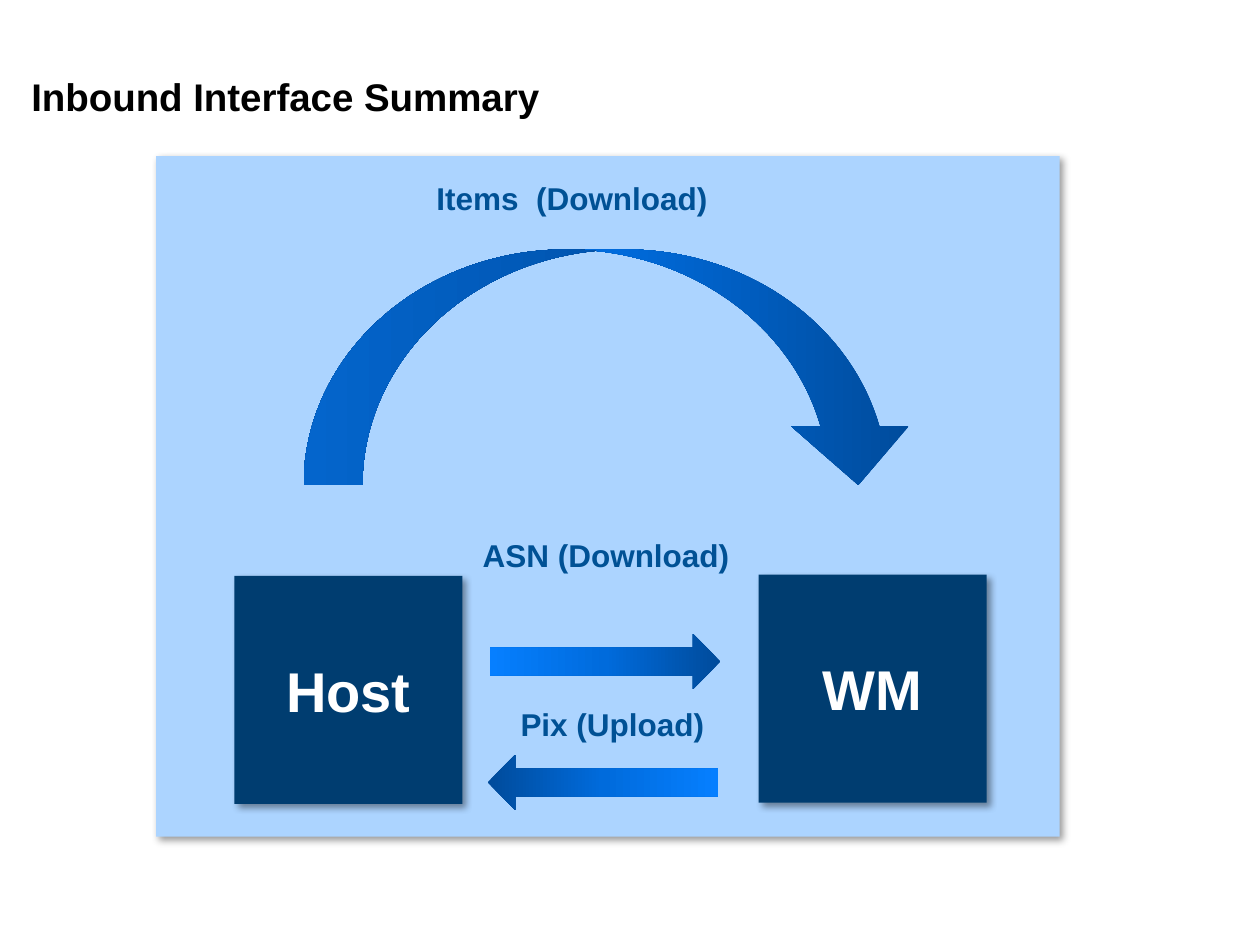
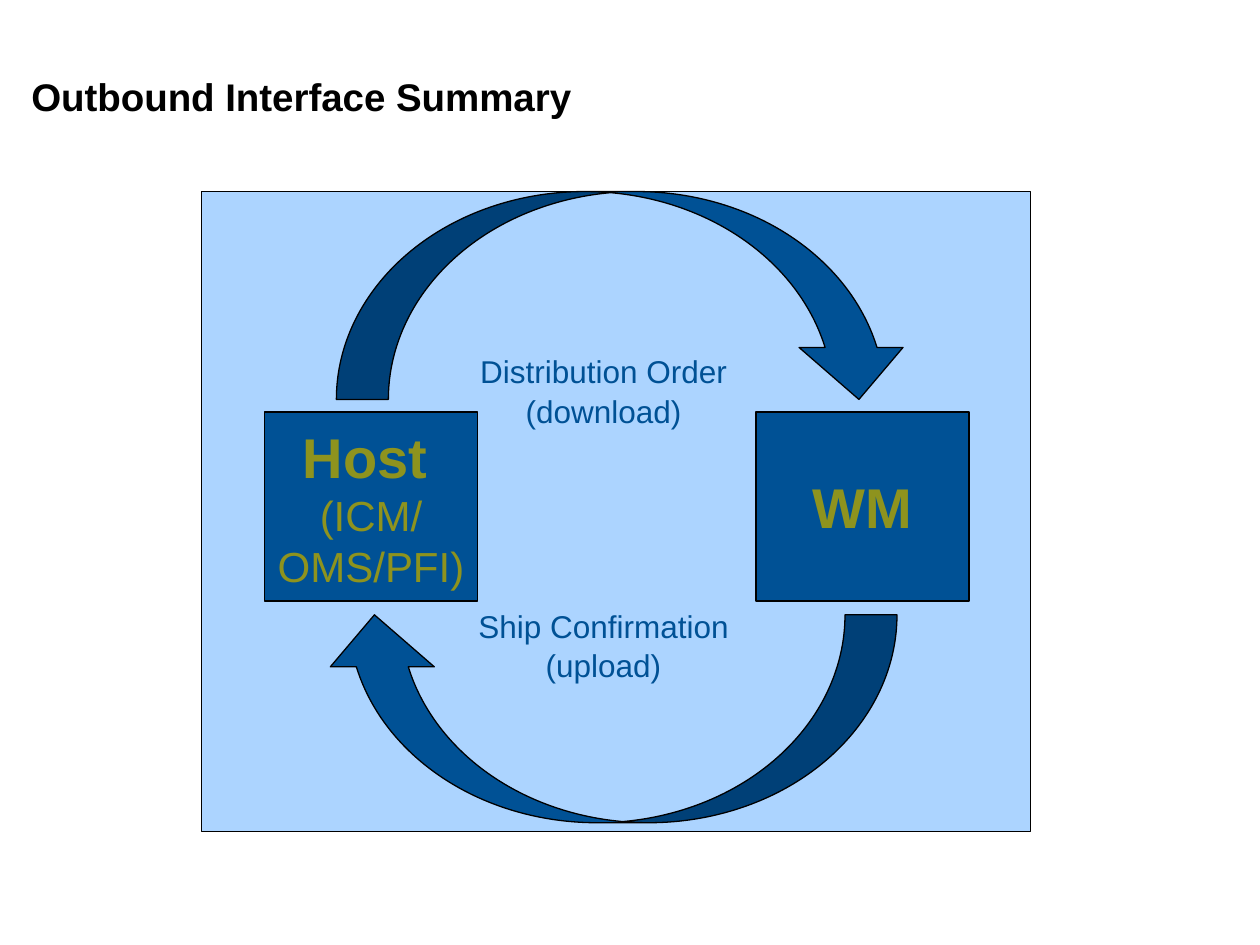
"""Build the inbound and outbound interface summary slides."""
from copy import deepcopy

from lxml import etree
from pptx import Presentation
from pptx import util as u
from pptx.dml import color
from pptx.enum import shapes, text
from pptx.oxml import ns

COLORS = {"panel": "ACD4FF", "navy": "003D70", "blue": "005195", "olive": "8E931E",
          "white": "FFFFFF", "black": "000000"}
ARROW_STOPS = [(0, "004B9B"), (0.5, "006BDC"), (1, "067FFF")]
SHADOW = (
    f'<a:effectLst {ns.nsdecls("a")}>'
    f'<a:outerShdw blurRad="{u.Pt(4)}" dist="{u.Pt(3)}" dir="2700000" algn="tl" rotWithShape="0">'
    '<a:srgbClr val="000000"><a:alpha val="40000"/></a:srgbClr>'
    '</a:outerShdw></a:effectLst>'
)


def add_block(slide, preset, place, fill=None, outlined=False, shadowed=False, flips=()):
    block = slide.shapes.add_shape(preset, *map(u.Inches, place))
    block.shadow.inherit = False
    if fill:
        block.fill.solid()
        block.fill.fore_color.rgb = color.RGBColor.from_string(COLORS[fill])
    else:
        block.fill.gradient()
        block.fill.gradient_angle = 180
        first_stop = block.element.spPr.find(".//" + ns.qn("a:gs"))
        first_stop.addnext(deepcopy(first_stop))
        for stop, (position, shade) in zip(block.fill.gradient_stops, ARROW_STOPS):
            stop.position = position
            stop.color.rgb = color.RGBColor.from_string(shade)
    if outlined:
        block.line.color.rgb = color.RGBColor.from_string(COLORS["black"])
        block.line.width = u.Pt(0.75)
    else:
        block.line.fill.background()
    if shadowed:
        properties = block.element.spPr
        properties.replace(properties.find(ns.qn("a:effectLst")), etree.fromstring(SHADOW))
    for flip in flips:
        block.element.spPr.find(ns.qn("a:xfrm")).set(flip, "1")
    return block


def write(holder, paragraphs, ink, align=text.PP_ALIGN.CENTER, anchor=text.MSO_ANCHOR.TOP, spacing=1.0):
    frame = holder.text_frame
    frame.word_wrap = True
    frame.vertical_anchor = anchor
    for number, runs in enumerate(paragraphs):
        paragraph = frame.add_paragraph() if number else frame.paragraphs[0]
        paragraph.alignment = align
        paragraph.line_spacing = spacing
        for words, size, bold in runs:
            run = paragraph.add_run()
            run.text = words
            run.font.name = "Arial"
            run.font.size = u.Pt(size)
            run.font.bold = bold
            run.font.color.rgb = color.RGBColor.from_string(COLORS[ink])


deck = Presentation()
deck.slide_width, deck.slide_height = u.Inches(10), u.Inches(7.5)
RECT = shapes.MSO_SHAPE.RECTANGLE
CURVE = shapes.MSO_SHAPE.CURVED_DOWN_ARROW
STRAIGHT = shapes.MSO_SHAPE.RIGHT_ARROW
HOST, WM = [("Host", 32, True)], [("WM", 32, True)]

summaries = [
    {
        "title": "Inbound Interface Summary",
        "panel": (1.24, 1.24, 7.17, 5.4),
        "outlined": False,
        "system_fill": "navy",
        "system_ink": "white",
        "systems": [((1.86, 4.57, 1.81, 1.81), [HOST]), ((6.02, 4.56, 1.81, 1.81), [WM])],
        "arrow_fill": None,
        "arrows": [
            (CURVE, (2.41, 1.98, 4.87, 1.87), ()),
            (STRAIGHT, (3.89, 5.03, 1.83, 0.44), ()),
            (STRAIGHT, (3.87, 5.99, 1.83, 0.44), ("flipH",)),
        ],
        "flows": [
            ("ASN (Download)", (3.7, 4.19, 2.22, 0.91)),
            ("Pix (Upload)", (3.75, 5.53, 2.22, 0.5)),
            ("Items  (Download)", (2.1, 1.36, 4.88, 0.5)),
        ],
        "flow_bold": True,
    },
    {
        "title": "Outbound Interface Summary",
        "panel": (1.6, 1.52, 6.58, 5.08),
        "outlined": True,
        "system_fill": "blue",
        "system_ink": "olive",
        "systems": [
            ((2.1, 3.27, 1.69, 1.5), [HOST + [(" ", 24, False)], [("(ICM/OMS/PFI)", 24, False)]]),
            ((6, 3.27, 1.69, 1.5), [WM]),
        ],
        "arrow_fill": "blue",
        "arrows": [
            (CURVE, (2.67, 1.52, 4.56, 1.65), ()),
            (CURVE, (2.56, 4.88, 4.56, 1.65), ("flipH", "flipV")),
        ],
        "flows": [
            ("Distribution Order (download)", (3.27, 2.73, 3.04, 0.91)),
            ("Ship Confirmation (upload)", (3.27, 4.75, 3.04, 0.91)),
        ],
        "flow_bold": False,
    },
]

for summary in summaries:
    slide = deck.slides.add_slide(deck.slide_layouts[6])
    outlined = summary["outlined"]
    add_block(slide, RECT, summary["panel"], "panel", outlined, not outlined)

    title = slide.shapes.add_textbox(*map(u.Inches, (0.15, 0.53, 9.32, 0.45)))
    write(title, [[(summary["title"], 22, True)]], "black", text.PP_ALIGN.LEFT)

    for place, paragraphs in summary["systems"]:
        system = add_block(slide, RECT, place, summary["system_fill"], outlined, not outlined)
        system.text_frame.margin_left = system.text_frame.margin_right = u.Inches(0.08)
        write(system, paragraphs, summary["system_ink"], anchor=text.MSO_ANCHOR.MIDDLE)

    for preset, place, flips in summary["arrows"]:
        add_block(slide, preset, place, summary["arrow_fill"], outlined, flips=flips)

    for words, place in summary["flows"]:
        flow = slide.shapes.add_textbox(*map(u.Inches, place))
        write(flow, [[(words, 18, summary["flow_bold"])]], "blue", spacing=1.05)

deck.save("out.pptx")
